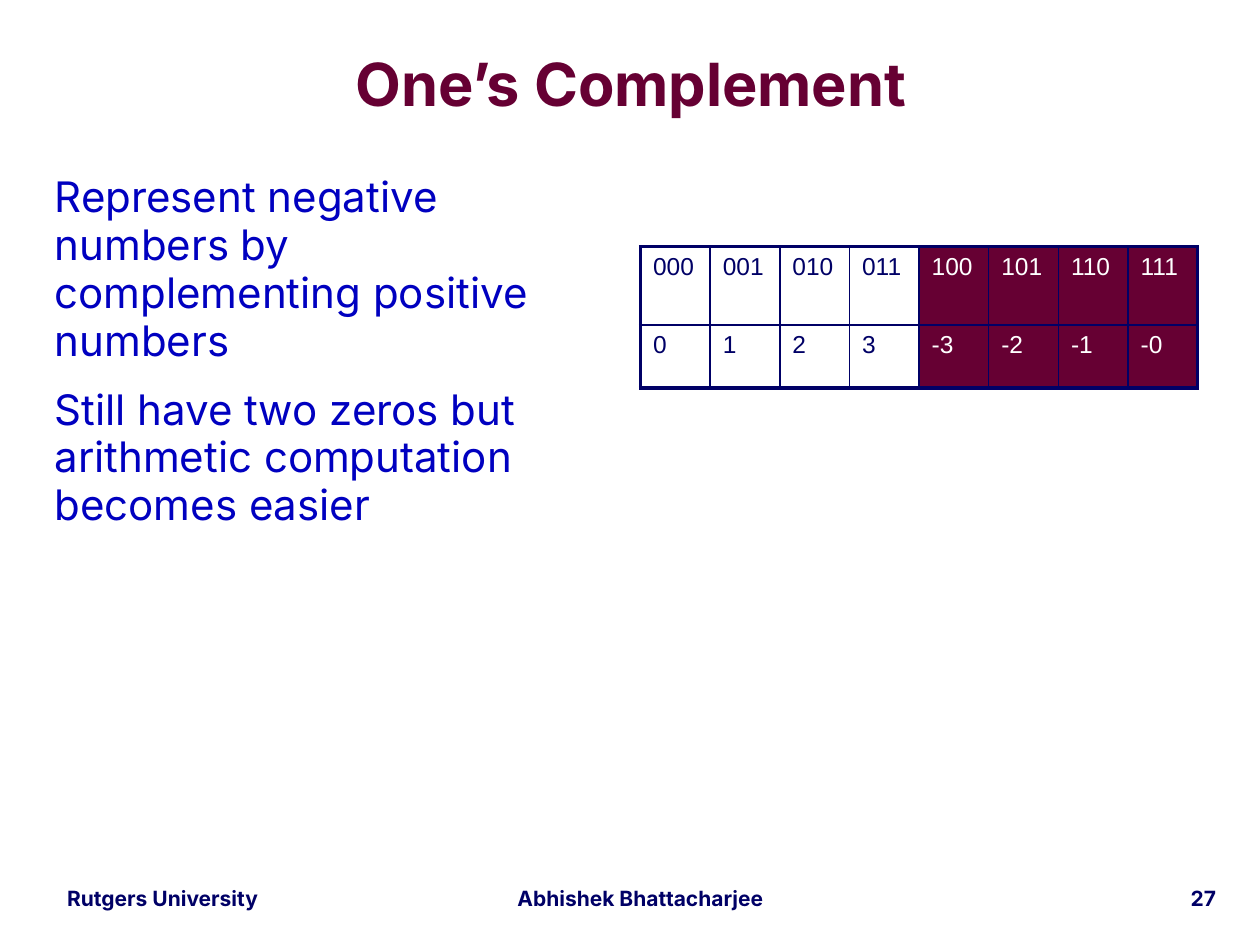
"""Build the One's Complement slide."""
from lxml.etree import SubElement as Sub
from pptx import Presentation
from pptx.dml.color import RGBColor as RGB
from pptx.enum.text import MSO_ANCHOR as ANC, MSO_AUTO_SIZE as AUTO, PP_ALIGN as AL
from pptx.oxml.ns import qn
from pptx.util import Pt

COL = {"navy": "000066", "blue": "0000C0", "wine": "660033", "white": "FFFFFF"}
TITLE = "One’s Complement"
BODY = [
    "Represent negative numbers by complementing positive numbers",
    "Still have two zeros but arithmetic computation becomes easier",
]
CODES = [
    ["000", "001", "010", "011", "100", "101", "110", "111"],
    ["0", "1", "2", "3", "-3", "-2", "-1", "-0"],
]
FOOT = [
    ("Rutgers University", 24, 138, AL.CENTER),
    ("Abhishek Bhattacharjee", 288, 156, AL.CENTER),
    ("27", 588, 114, AL.RIGHT),
]
HIGHS = [44.64, 36]
WIDE = 39.8
SPLIT = 4
THICK, THIN = 2.25, 1


def place(shape, *box):
    shape.left, shape.top, shape.width, shape.height = map(Pt, box)


def write(para, text, size, col, font="Inter", bold=False):
    run = para.add_run()
    run.text = text
    run.font.size, run.font.name, run.font.bold = Pt(size), font, bold
    run.font.color.rgb = RGB.from_string(COL[col])


def edge(cell, side, width):
    line = Sub(cell._tc.get_or_add_tcPr(), qn("a:ln" + side), w=str(Pt(width)))
    fill = Sub(line, qn("a:solidFill"))
    Sub(fill, qn("a:srgbClr"), val=COL["navy"])


deck = Presentation()
deck.slide_width, deck.slide_height = Pt(720), Pt(540)
slide = deck.slides.add_slide(deck.slide_layouts[1])
head, body = slide.placeholders

for text, left, width, align in FOOT:
    box = slide.shapes.add_textbox(Pt(left), Pt(504), Pt(width), Pt(20))
    box.text_frame.word_wrap = True
    para = box.text_frame.paragraphs[0]
    para.alignment, para.line_spacing = align, 0.9
    write(para, text, 12, "navy", bold=True)

place(body, 24, 96, 330, 386.5)
frame = body.text_frame
frame.auto_size = AUTO.NONE
for i, text in enumerate(BODY):
    para = frame.add_paragraph() if i else frame.paragraphs[0]
    para.line_spacing, para.space_before = 0.95, Pt(12 if i else 0)
    props = para._p.get_or_add_pPr()
    props.set("marL", "0")
    props.set("indent", "0")
    Sub(props, qn("a:buNone"))
    write(para, text, 24, "blue")

rows, cols = len(CODES), len(CODES[0])
grid = slide.shapes.add_table(
    rows, cols, Pt(366), Pt(141), Pt(WIDE * cols), Pt(sum(HIGHS))).table
grid.first_row = grid.horz_banding = False
for col in grid.columns:
    col.width = Pt(WIDE)
for r, codes in enumerate(CODES):
    grid.rows[r].height = Pt(HIGHS[r])
    for c, code in enumerate(codes):
        cell = grid.cell(r, c)
        outer = {"L": c == 0, "R": c == cols - 1, "T": r == 0, "B": r == rows - 1}
        for side, out in outer.items():
            edge(cell, side, THICK if out else THIN)
        dark = c >= SPLIT
        cell.fill.solid()
        cell.fill.fore_color.rgb = RGB.from_string(COL["wine" if dark else "white"])
        write(cell.text_frame.paragraphs[0], code, 14,
              "white" if dark else "navy", "Arial")

place(head, 22.5, 19.5, 676, 61)
frame = head.text_frame
frame.auto_size, frame.vertical_anchor = AUTO.NONE, ANC.MIDDLE
frame.margin_left = frame.margin_right = frame.margin_top = frame.margin_bottom = 0
para = frame.paragraphs[0]
para.alignment, para.line_spacing = AL.CENTER, 0.87
write(para, TITLE, 34, "wine", bold=True)

deck.save("out.pptx")
